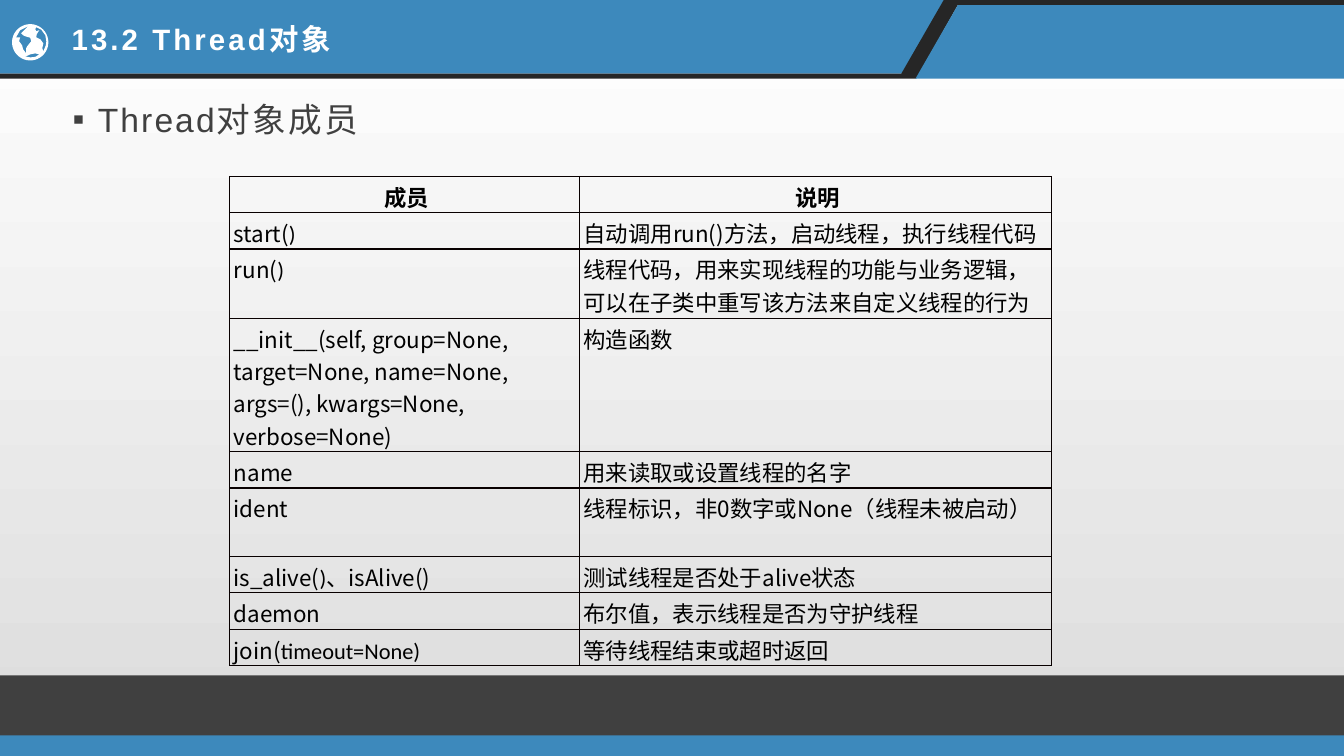
import math
import pptx
import pptx.dml.color
import pptx.enum.shapes
import pptx.enum.text
import pptx.oxml
import pptx.oxml.ns
import pptx.util

WIDTH = pptx.util.Inches(13.33)
HEIGHT = pptx.util.Inches(7.5)

THEME = {
    "blue": "3D89BC", "black": "262626", "gray": "404040", "white": "FFFFFF",
    "shade": "DCDCDC", "ink": "000000", "border": "080000",
    "latin": "Arial", "table": "Noto Sans CJK SC", "bracket": "Calibri",
    "title_size": 21, "body_size": 24, "table_size": 16,
}

# Outlines in percent of the slide's width and height
BANDS = [
    ("blue", [(0, 0), (70.52, 0), (67.44, 9.73), (0, 9.73)]),
    ("black", [(70.97, 0), (100, 0), (100, 0.67), (71.27, 0.67), (68.19, 10.4),
               (0, 10.4), (0, 9.73), (67.07, 9.73), (70.22, 0)]),
    ("blue", [(71.27, 0.67), (100, 0.67), (100, 10.4), (68.12, 10.4)]),
]
FOOTER = [("blue", 97.2, 2.8), ("gray", 89.33, 7.97)]

# Globe on a grid of 750 rows per slide height
GLOBE_CENTER, GLOBE_RADIUS = (30, 42), 18
CONTINENTS = [
    [(46, 41), (45.5, 45), (43, 51), (42, 48), (43, 43), (40, 39), (36, 37),
     (36.5, 34), (39, 30), (36, 31), (35, 29), (36, 27), (41, 29.5), (45, 35)],
    [(28, 26), (26, 28), (24, 30), (21, 33), (23, 35), (25, 36), (30, 37.5),
     (31, 41), (27, 46), (26, 48), (26, 53), (23, 49), (22, 45), (19, 41),
     (20, 37), (16, 37), (20, 30)],
    [(25, 56), (28, 55), (30, 54), (35, 53), (39, 54), (35, 56.5), (30, 57)],
]

# A bar in a member switches to the bracket font and back
MEMBERS = [
    ("成员", "说明"),
    ("start(|)", "自动调用run()方法，启动线程，执行线程代码"),
    ("run(|)", "线程代码，用来实现线程的功能与业务逻辑，可以在子类中重写该方法来自定义线程的行为"),
    ("__init__(self, group=None, target=None, name=None, args=(), kwargs=None, verbose=None)",
     "构造函数"),
    ("name", "用来读取或设置线程的名字"),
    ("ident", "线程标识，非0数字或None（线程未被启动）"),
    ("is_alive(|)|、isAlive()", "测试线程是否处于alive状态"),
    ("daemon", "布尔值，表示线程是否为守护线程"),
    ("join(|timeout=None)", "等待线程结束或超时返回"),
]
COLUMN_SHARES = [26.03, 35.11]
ROW_SHARE, TALL_ROWS = 4.6, {2: 9.2, 3: 14.8}


def across(share):
    return round(WIDTH * share / 100)


def down(share):
    return round(HEIGHT * share / 100)


def color(name):
    return pptx.dml.color.RGBColor.from_string(THEME[name])


def apply(target, formats):
    for name, value in formats.items():
        setattr(target, name, value)


def paint(shape, fill):
    shape.fill.solid()
    shape.fill.fore_color.rgb = color(fill)
    shape.line.fill.background()
    shape.shadow.inherit = False


def add_outline(slide, contours, fill):
    builder = slide.shapes.build_freeform(*contours[0][0], scale=1.0)
    builder.add_line_segments(contours[0][1:], close=True)
    for contour in contours[1:]:
        builder.move_to(*contour[0])
        builder.add_line_segments(contour[1:], close=True)
    paint(builder.convert_to_shape(), fill)


def add_globe(slide):
    center_x, center_y = GLOBE_CENTER
    angles = [math.radians(step * 6) for step in range(60)]
    disc = [(center_x + GLOBE_RADIUS * math.cos(angle),
             center_y + GLOBE_RADIUS * math.sin(angle)) for angle in angles]
    unit = HEIGHT / 750
    contours = [[(round(x * unit), round(y * unit)) for x, y in contour]
                for contour in [disc] + CONTINENTS]
    add_outline(slide, contours, "white")


def add_bar(slide, fill, top, height):
    rectangle = pptx.enum.shapes.MSO_SHAPE.RECTANGLE
    bar = slide.shapes.add_shape(rectangle, 0, down(top), WIDTH, down(height))
    paint(bar, fill)


def add_run(paragraph, text, font, size, ink, bold=False, spacing=0):
    run = paragraph.add_run()
    run.text = text
    apply(run.font, {"name": THEME[font], "size": pptx.util.Pt(THEME[size]), "bold": bold})
    run.font.color.rgb = color(ink)
    properties = run.font._element if hasattr(run.font, "_element") else run._r.get_or_add_rPr()
    properties.set("spc", str(round(spacing * 100)))
    east_asian = pptx.oxml.parse_xml(
        f'<a:ea {pptx.oxml.ns.nsdecls("a")} typeface="{THEME["table"]}"/>')
    properties.find(pptx.oxml.ns.qn("a:latin")).addnext(east_asian)


def fill_placeholder(placeholder, box, frame_format, text, run_format, bullet=None):
    left, top, width, height = box
    apply(placeholder, {"left": across(left), "top": down(top),
                        "width": across(width), "height": down(height)})
    frame = placeholder.text_frame
    apply(frame, {"word_wrap": True, "auto_size": pptx.enum.text.MSO_AUTO_SIZE.NONE,
                  **frame_format})
    paragraph = frame.paragraphs[0]
    apply(paragraph, {"alignment": pptx.enum.text.PP_ALIGN.LEFT,
                      "space_before": pptx.util.Pt(0), "line_spacing": 1.0})
    if bullet:
        properties = paragraph._p.get_or_add_pPr()
        indent = pptx.util.Inches(0.25)
        properties.set("marL", str(indent))
        properties.set("indent", str(-indent))
        properties.append(pptx.oxml.parse_xml(
            f'<a:buChar {pptx.oxml.ns.nsdecls("a")} char="{bullet}"/>'))
    add_run(paragraph, text, **run_format)
    # Bring the text in front of the bands
    placeholder.element.getparent().append(placeholder.element)


def add_borders(cell):
    properties = cell._tc.get_or_add_tcPr()
    for index, side in enumerate("LRTB"):
        properties.insert(index, pptx.oxml.parse_xml(
            f'<a:ln{side} {pptx.oxml.ns.nsdecls("a")} w="{pptx.util.Pt(1)}"><a:solidFill>'
            f'<a:srgbClr val="{THEME["border"]}"/></a:solidFill></a:ln{side}>'))


def fill_cell(cell, text, header):
    inset = pptx.util.Inches(0.04)
    apply(cell, {"margin_left": inset, "margin_top": inset,
                 "margin_right": 0, "margin_bottom": 0})
    cell.fill.background()
    add_borders(cell)
    paragraph = cell.text_frame.paragraphs[0]
    alignment = pptx.enum.text.PP_ALIGN
    paragraph.alignment = alignment.CENTER if header else alignment.LEFT
    for index, part in enumerate(text.split("|")):
        font = "bracket" if index % 2 else "table"
        add_run(paragraph, part, font, "table_size", "ink", bold=header)


def add_member_table(slide):
    heights = [TALL_ROWS.get(row, ROW_SHARE) for row in range(len(MEMBERS))]
    table = slide.shapes.add_table(
        len(MEMBERS), len(COLUMN_SHARES), across(17.1), down(23.33),
        across(sum(COLUMN_SHARES)), down(sum(heights))).table
    apply(table, {"first_row": False, "horz_banding": False})
    for column, share in zip(table.columns, COLUMN_SHARES):
        column.width = across(share)
    for index, (row, share) in enumerate(zip(table.rows, heights)):
        row.height = down(share)
        for cell, text in zip(row.cells, MEMBERS[index]):
            fill_cell(cell, text, header=index == 0)


def set_background(slide):
    fill = slide.background.fill
    fill.gradient()
    fill.gradient_angle = 270
    for stop, name in zip(fill.gradient_stops, ("white", "shade")):
        stop.color.rgb = color(name)


def main():
    presentation = pptx.Presentation()
    apply(presentation, {"slide_width": WIDTH, "slide_height": HEIGHT})
    slide = presentation.slides.add_slide(presentation.slide_layouts[1])
    title, body = slide.shapes.title, slide.placeholders[1]
    set_background(slide)

    # Header and footer
    for fill, points in BANDS:
        add_outline(slide, [[(across(x), down(y)) for x, y in points]], fill)
    for fill, top, height in FOOTER:
        add_bar(slide, fill, top, height)
    add_globe(slide)

    # Content
    anchor = pptx.enum.text.MSO_ANCHOR
    fill_placeholder(
        body, (4.58, 13.07, 91.52, 73.47),
        {"vertical_anchor": anchor.TOP, "margin_left": pptx.util.Inches(0.11),
         "margin_right": pptx.util.Inches(0.09), "margin_top": 0, "margin_bottom": 0},
        "Thread对象成员",
        {"font": "latin", "size": "body_size", "ink": "gray", "spacing": 1.5}, bullet="▪")
    add_member_table(slide)
    fill_placeholder(
        title, (4.58, 2.13, 44.26, 6), {"vertical_anchor": anchor.MIDDLE}, "13.2 Thread对象",
        {"font": "latin", "size": "title_size", "ink": "white", "bold": True, "spacing": 2.2})
    presentation.save("out.pptx")


if __name__ == "__main__":
    main()
